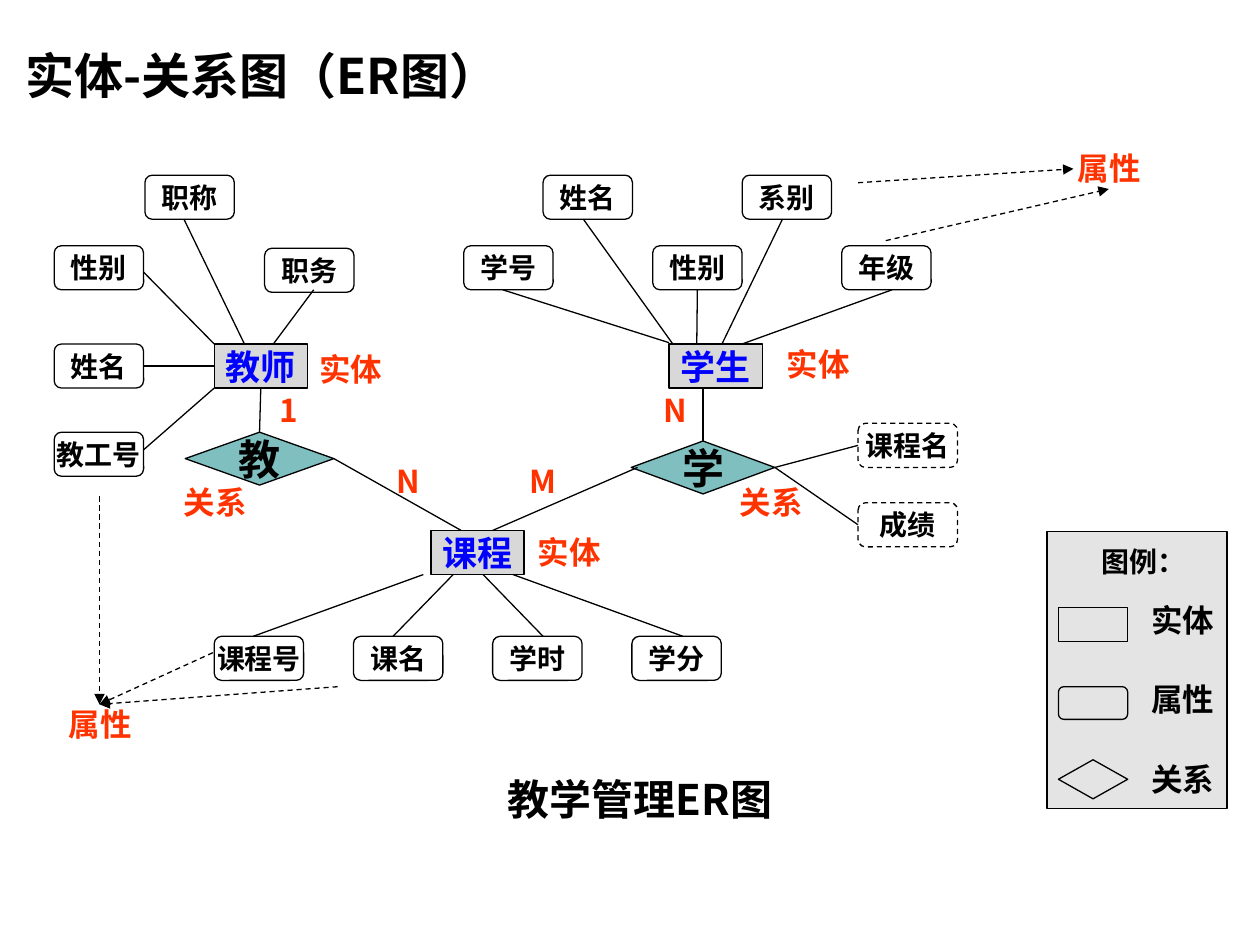
from dataclasses import dataclass
from typing import NamedTuple, Optional, Union

from lxml import etree
from pptx import Presentation
from pptx.dml.color import RGBColor
from pptx.enum.dml import MSO_LINE
from pptx.enum.shapes import MSO_CONNECTOR, MSO_SHAPE as Preset
from pptx.enum.text import MSO_ANCHOR as Anchor, MSO_AUTO_SIZE as AutoSize, PP_ALIGN as Align
from pptx.oxml.ns import qn
from pptx.shapes.autoshape import Shape
from pptx.util import Inches, Pt

FONT = "Noto Sans CJK SC"
BLACK, RED, BLUE = "000000", "FF3300", "0000FF"
GRAY, TEAL, SILVER = "B2B2B2", "008080", "C0C0C0"
ATTRIBUTE_SIZE = (0.71, 0.35)
ENTITY_SIZE = (0.74, 0.35)
TOP, LEFT, BOTTOM, RIGHT = range(4)


class Box(NamedTuple):
    left: float
    top: float
    width: float
    height: float


class Joint(NamedTuple):
    shape: Shape
    side: int


class Point(NamedTuple):
    x: float
    y: float


End = Union[Joint, Point]


@dataclass
class Attribute:
    """An attribute box with the ends of its link; None joins a side's middle."""
    name: str
    left: float
    top: float
    start: Optional[Point]
    end: Optional[Point]
    side: int = BOTTOM
    entity_side: int = TOP


@dataclass
class Label:
    text: str
    box: Box


def rgb(color: str) -> RGBColor:
    return RGBColor.from_string(color)


def write(shape: Shape, text: str, *, size: float = 16, color: str = BLACK,
          align: Align = Align.CENTER, anchor: Anchor = Anchor.MIDDLE,
          wrap: bool = False, inset: bool = False) -> None:
    frame = shape.text_frame
    frame.word_wrap = wrap
    frame.auto_size = AutoSize.SHAPE_TO_FIT_TEXT if wrap else AutoSize.NONE
    frame.vertical_anchor = anchor
    if not inset:
        frame.margin_left = frame.margin_right = 0
        frame.margin_top = frame.margin_bottom = 0
    paragraph = frame.paragraphs[0]
    paragraph.alignment = align
    run = paragraph.add_run()
    run.text = text
    run.font.size, run.font.bold, run.font.name = Pt(size), True, FONT
    run.font.color.rgb = rgb(color)
    etree.SubElement(run.font._element, qn("a:ea"), typeface=FONT)


def draw_text(text: str, box: Box, **style) -> None:
    write(shapes.add_textbox(*map(Inches, box)), text, **style)


def draw_shape(preset: Preset, box: Box, *, fill: Optional[str] = None,
               opacity: int = 50, dashed: bool = False) -> Shape:
    shape = shapes.add_shape(preset, *map(Inches, box))
    shape.shadow.inherit = False
    if fill:
        shape.fill.solid()
        shape.fill.fore_color.rgb = rgb(fill)
        color = shape.fill._xPr.find(qn("a:solidFill"))[0]
        etree.SubElement(color, qn("a:alpha"), val=str(opacity * 1000))
    else:
        shape.fill.background()
    shape.line.color.rgb = rgb(BLACK)
    shape.line.width = Pt(0.75)
    if dashed:
        shape.line.dash_style = MSO_LINE.DASH
    return shape


def draw_line(start: End, end: End, *, pointer: bool = False) -> None:
    """Draw a link; a pointer is dashed and ends in an arrowhead."""
    places = [Point(0, 0) if isinstance(e, Joint) else e for e in (start, end)]
    line = shapes.add_connector(MSO_CONNECTOR.STRAIGHT,
                                *(Inches(v) for place in places for v in place))
    if isinstance(start, Joint):
        line.begin_connect(*start)
    if isinstance(end, Joint):
        line.end_connect(*end)
    line.line.color.rgb = rgb(BLACK)
    line.line.width = Pt(0.75)
    if pointer:
        line.line.dash_style = MSO_LINE.DASH
        etree.SubElement(line.line._get_or_add_ln(), qn("a:tailEnd"), type="triangle")
    etree.SubElement(line._element.spPr, qn("a:effectLst"))


def draw_attribute_box(name: str, box: Box, dashed: bool = False) -> Shape:
    shape = draw_shape(Preset.ROUNDED_RECTANGLE, box, dashed=dashed)
    write(shape, name)
    return shape


def draw_entity(name: str, left: float, top: float, attributes: list[Attribute]) -> Shape:
    entity = draw_shape(Preset.RECTANGLE, Box(left, top, *ENTITY_SIZE), fill=GRAY)
    write(entity, name, size=20, color=BLUE)
    for item in attributes:
        attribute = draw_attribute_box(item.name, Box(item.left, item.top, *ATTRIBUTE_SIZE))
        draw_line(item.start or Joint(attribute, item.side),
                  item.end or Joint(entity, item.entity_side))
    return entity


def draw_relation(name: str, box: Box) -> Shape:
    relation = draw_shape(Preset.FLOWCHART_DECISION, box, fill=TEAL)
    write(relation, name, size=24)
    return relation


presentation = Presentation()
presentation.slide_width, presentation.slide_height = Inches(10), Inches(7.5)
shapes = presentation.slides.add_slide(presentation.slide_layouts[6]).shapes

draw_text("实体-关系图（ER图）", Box(0.2, 0.36, 3.78, 0.47), size=28,
          align=Align.LEFT, anchor=Anchor.TOP, wrap=True)

# Entities with their attributes
teacher = draw_entity("教师", 1.7, 2.73, [
    Attribute("职称", 1.15, 1.39, Point(1.46, 1.74), Point(1.94, 2.73)),
    Attribute("性别", 0.43, 1.95, Point(1.14, 2.16), Point(1.7, 2.73)),
    Attribute("姓名", 0.43, 2.73, None, None, RIGHT, LEFT),
    Attribute("教工号", 0.43, 3.43, Point(1.14, 3.57), Point(1.7, 3.08)),
    Attribute("职务", 2.1, 1.97, Point(2.49, 2.3), Point(2.17, 2.73)),
])
student = draw_entity("学生", 5.31, 2.73, [
    Attribute("性别", 5.18, 1.95, None, Point(5.53, 2.73)),
    Attribute("姓名", 4.31, 1.39, Point(4.63, 1.74), Point(5.34, 2.73)),
    Attribute("学号", 3.68, 1.95, Point(3.99, 2.3), Point(5.31, 2.72)),
    Attribute("系别", 5.89, 1.39, Point(6.21, 1.74), Point(5.73, 2.73)),
    Attribute("年级", 6.68, 1.95, Point(7.08, 2.3), Point(5.89, 2.73)),
])
course = draw_entity("课程", 3.42, 4.21, [
    Attribute(name, 1.7 + 1.105 * i, 5.05, Point(x, 5.05), Point(3.36 + 0.237 * i, 4.56))
    for i, (name, x) in enumerate(
        [("课程号", 2.01), ("课名", 3.12), ("学时", 4.31), ("学分", 5.42)])
])

# Relations and their links
teaches = draw_relation("教", Box(1.47, 3.43, 1.18, 0.42))
draw_line(Joint(teacher, BOTTOM), Joint(teaches, TOP))
draw_line(Joint(teaches, RIGHT), Point(3.66, 4.21))

studies = draw_relation("学", Box(5.01, 3.5, 1.14, 0.42))
draw_line(Point(5.58, 3.08), Joint(studies, TOP))
draw_line(Point(5.06, 3.71), Point(3.91, 4.21))
for name, top in [("课程名", 3.36), ("成绩", 3.99)]:
    result = draw_attribute_box(name, Box(6.81, top, 0.79, 0.35), dashed=True)
    draw_line(Joint(studies, RIGHT), Joint(result, LEFT))

# Red notes: cardinalities and kinds of element
for note in [
    Label("1", Box(2.1, 3.15, 0.39, 0.21)),
    Label("N", Box(3.12, 3.71, 0.24, 0.21)),
    Label("M", Box(4.15, 3.71, 0.31, 0.21)),
    Label("N", Box(5.16, 3.15, 0.4, 0.21)),
    Label("实体", Box(2.49, 2.73, 0.59, 0.39)),
    Label("实体", Box(6.18, 2.73, 0.63, 0.31)),
    Label("实体", Box(4.25, 4.22, 0.54, 0.32)),
    Label("关系", Box(1.41, 3.83, 0.6, 0.31)),
    Label("关系", Box(5.83, 3.83, 0.58, 0.31)),
    Label("属性", Box(8.52, 1.18, 0.57, 0.31)),
    Label("属性", Box(0.51, 5.59, 0.57, 0.31)),
]:
    draw_text(note.text, note.box, size=18, color=RED)

draw_line(Point(6.81, 1.45), Point(8.52, 1.34), pointer=True)
draw_line(Point(7.03, 1.91), Point(8.8, 1.5), pointer=True)
for start in [Point(1.69, 5.18), Point(2.68, 5.45), Point(0.79, 3.94)]:
    draw_line(start, Point(0.79, 5.59), pointer=True)

# Legend and caption
draw_shape(Preset.RECTANGLE, Box(8.31, 4.22, 1.43, 2.2), fill=SILVER, opacity=42)
draw_text("图例：", Box(8.72, 4.3, 0.71, 0.31), inset=True)
for kind, preset, top, height, text_top in [
    ("实体", Preset.RECTANGLE, 4.82, 0.27, 4.77),
    ("属性", Preset.FLOWCHART_ALTERNATE_PROCESS, 5.45, 0.26, 5.4),
    ("关系", Preset.FLOWCHART_DECISION, 6.03, 0.31, 6.03),
]:
    draw_shape(preset, Box(8.4, top, 0.55, height))
    draw_text(kind, Box(9.11, text_top, 0.55, 0.3), size=18, anchor=Anchor.TOP, wrap=True)
draw_text("教学管理ER图", Box(3.93, 6.09, 2.38, 0.5), size=24, align=Align.LEFT,
          anchor=Anchor.TOP, wrap=True, inset=True)

presentation.save("out.pptx")
